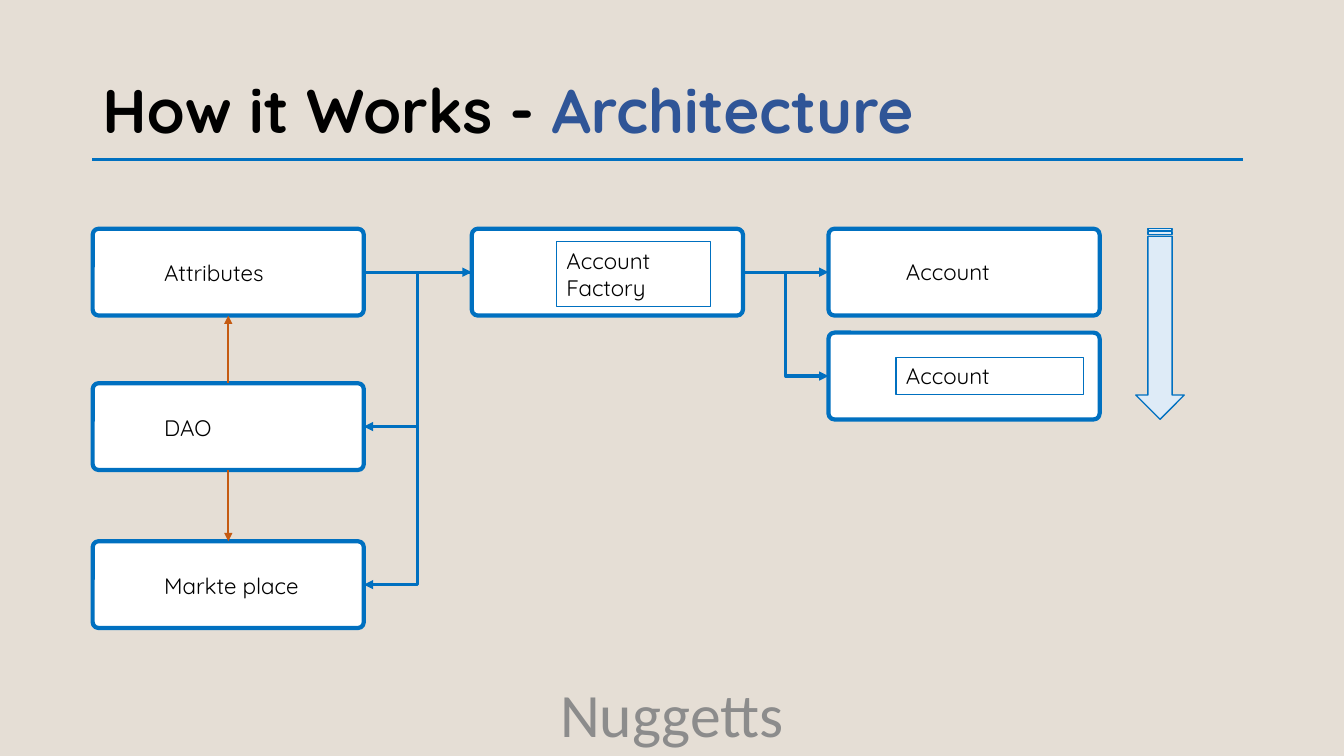
from pptx import Presentation
from pptx.dml.color import RGBColor
from pptx.enum.shapes import MSO_CONNECTOR, MSO_SHAPE
from pptx.enum.text import MSO_ANCHOR, PP_ALIGN
from pptx.oxml.ns import qn
from pptx.util import Pt
from lxml import etree

STRAIGHT, ELBOW = MSO_CONNECTOR.STRAIGHT, MSO_CONNECTOR.ELBOW
ROUNDED, STRIPED_ARROW = MSO_SHAPE.ROUNDED_RECTANGLE, MSO_SHAPE.STRIPED_RIGHT_ARROW
MIDDLE, LEFT, CENTER = MSO_ANCHOR.MIDDLE, PP_ALIGN.LEFT, PP_ALIGN.CENTER
TOP_SIDE, LEFT_SIDE, BOTTOM_SIDE, RIGHT_SIDE = range(4)

SAND = RGBColor(0xE5, 0xDE, 0xD5)
BLUE = RGBColor(0x00, 0x70, 0xC0)
NAVY = RGBColor(0x2F, 0x55, 0x97)
PALE_BLUE = RGBColor(0xDE, 0xEB, 0xF7)
ORANGE = RGBColor(0xC5, 0x5A, 0x11)
GRAY = RGBColor(0x8C, 0x8C, 0x8C)
WHITE = RGBColor(0xFF, 0xFF, 0xFF)
BLACK = RGBColor(0x00, 0x00, 0x00)

NODE_W, NODE_H = 193.7, 62
COLUMNS = (66.2, 337, 591.8)


def add_run(p, text, size=16, font="Quicksand", color=BLACK, bold=False):
    r = p.add_run()
    r.text = text
    r.font.size, r.font.name, r.font.bold = Pt(size), font, bold
    r.font.color.rgb = color


def add_text(s, text, x, y, w, h, border=None, align=LEFT, anchor=None, **fmt):
    box = s.shapes.add_textbox(Pt(x), Pt(y), Pt(w), Pt(h))
    if border:
        box.line.color.rgb, box.line.width = border, Pt(0.75)
    tf = box.text_frame
    tf.word_wrap = True
    if anchor is not None:
        tf.vertical_anchor = anchor
    p = tf.paragraphs[0]
    p.alignment = align
    add_run(p, text, **fmt)
    return box


def add_panel(s, preset, x, y, w, h, fill, line_width):
    sp = s.shapes.add_shape(preset, Pt(x), Pt(y), Pt(w), Pt(h))
    sp.shadow.inherit = False
    sp.fill.solid()
    sp.fill.fore_color.rgb = fill
    sp.line.color.rgb, sp.line.width = BLUE, Pt(line_width)
    return sp


def add_node(s, x, y, text, dx=44, dy=18.5, w=139, h=26.6, border=None):
    """Rounded box with a label offset by dx, dy from its corner."""
    node = add_panel(s, ROUNDED, x, y, NODE_W, NODE_H, WHITE, 3)
    node.adjustments[0] = 0.069
    add_text(s, text, x + dx, y + dy, w, h, border=border)
    return node


def add_line(s, kind, color, width, ends=(0, 0, 0, 0)):
    c = s.shapes.add_connector(kind, *(Pt(v) for v in ends))
    c.line.color.rgb, c.line.width = color, Pt(width)
    etree.SubElement(c.element.spPr, qn("a:effectLst"))
    return c


def add_link(s, start, start_side, end, end_side, kind=STRAIGHT, color=BLUE, width=2.25):
    c = add_line(s, kind, color, width)
    c.begin_connect(start, start_side)
    c.end_connect(end, end_side)
    ln = c.element.spPr.find(qn("a:ln"))
    etree.SubElement(ln, qn("a:tailEnd"), type="triangle")


def add_heading(s, x, y, w, h):
    title = s.shapes.title
    title.left, title.top, title.width, title.height = Pt(x), Pt(y), Pt(w), Pt(h)
    title.text_frame.vertical_anchor = MIDDLE
    p = title.text_frame.paragraphs[0]
    p.alignment, p.line_spacing = LEFT, 0.9
    add_run(p, "How it Works - ", size=44, bold=True)
    add_run(p, "Architecture", size=44, bold=True, color=NAVY)
    rule_y = y + 85
    add_line(s, STRAIGHT, BLUE, 2.25, (x, rule_y, x + 822.2, rule_y))


def add_diagram(s, y):
    left, middle, right = COLUMNS
    # Boxes
    attributes = add_node(s, left, y, "Attributes")
    factory = add_node(s, middle, y, "Account Factory", dx=60.5, dy=9.4,
                       w=110.2, h=46, border=BLUE)
    account = add_node(s, right, y, "Account", dx=48.2, dy=17.8, w=123)
    second = add_node(s, right, y + 74.2, "Account", dx=48.2, dy=17.8,
                      w=134, border=BLUE)
    dao = add_node(s, left, y + 110.3, "DAO")
    market = add_node(s, left, y + 223.2, "Markte place")

    # Links
    add_link(s, attributes, RIGHT_SIDE, factory, LEFT_SIDE)
    add_link(s, factory, RIGHT_SIDE, account, LEFT_SIDE)
    add_link(s, factory, RIGHT_SIDE, second, LEFT_SIDE, kind=ELBOW)
    for target in (dao, market):
        add_link(s, factory, LEFT_SIDE, target, RIGHT_SIDE, kind=ELBOW)
    add_link(s, dao, TOP_SIDE, attributes, BOTTOM_SIDE, color=ORANGE, width=1.5)
    add_link(s, dao, BOTTOM_SIDE, market, TOP_SIDE, color=ORANGE, width=1.5)


def add_down_arrow(s, x, y, w, h):
    # The preset points right, so it is laid out sideways and turned
    arrow = add_panel(s, STRIPED_ARROW, x + (w - h) / 2, y + (h - w) / 2, h, w,
                      PALE_BLUE, 1)
    arrow.rotation = 90


def add_footer(s, x, y, w, h):
    box = add_text(s, "Nuggetts", x, y, w, h, align=CENTER, anchor=MIDDLE,
                   size=44, font="Calibri", color=GRAY)
    box.text_frame.margin_top = box.text_frame.margin_bottom = 0


def main():
    prs = Presentation()
    prs.slide_width, prs.slide_height = Pt(960), Pt(540)
    s = prs.slides.add_slide(prs.slide_layouts[5])
    s.background.fill.solid()
    s.background.fill.fore_color.rgb = SAND
    add_heading(s, 66, 28.8, 828, 104.4)
    add_diagram(s, 163.4)
    add_down_arrow(s, 811.3, 163.4, 34.6, 136.1)
    add_footer(s, 318, 482, 324, 54)
    prs.save("out.pptx")


if __name__ == "__main__":
    main()
